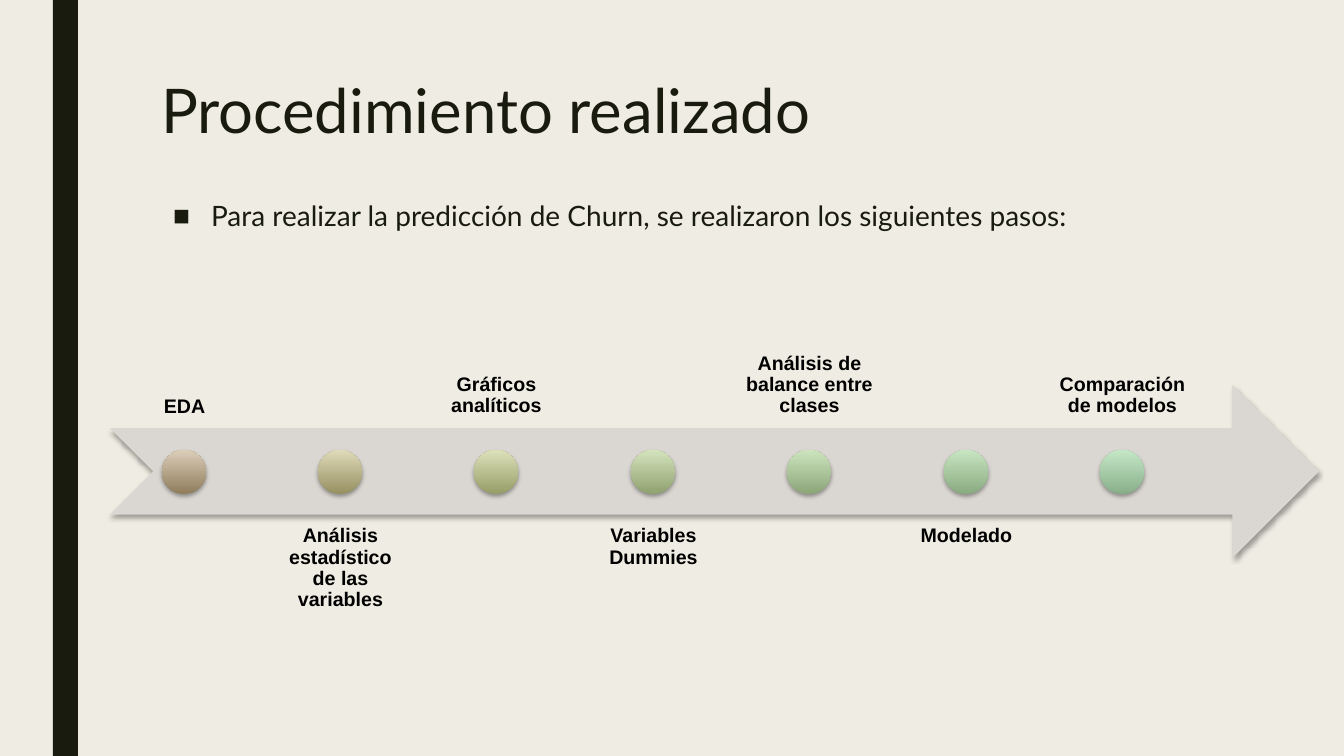
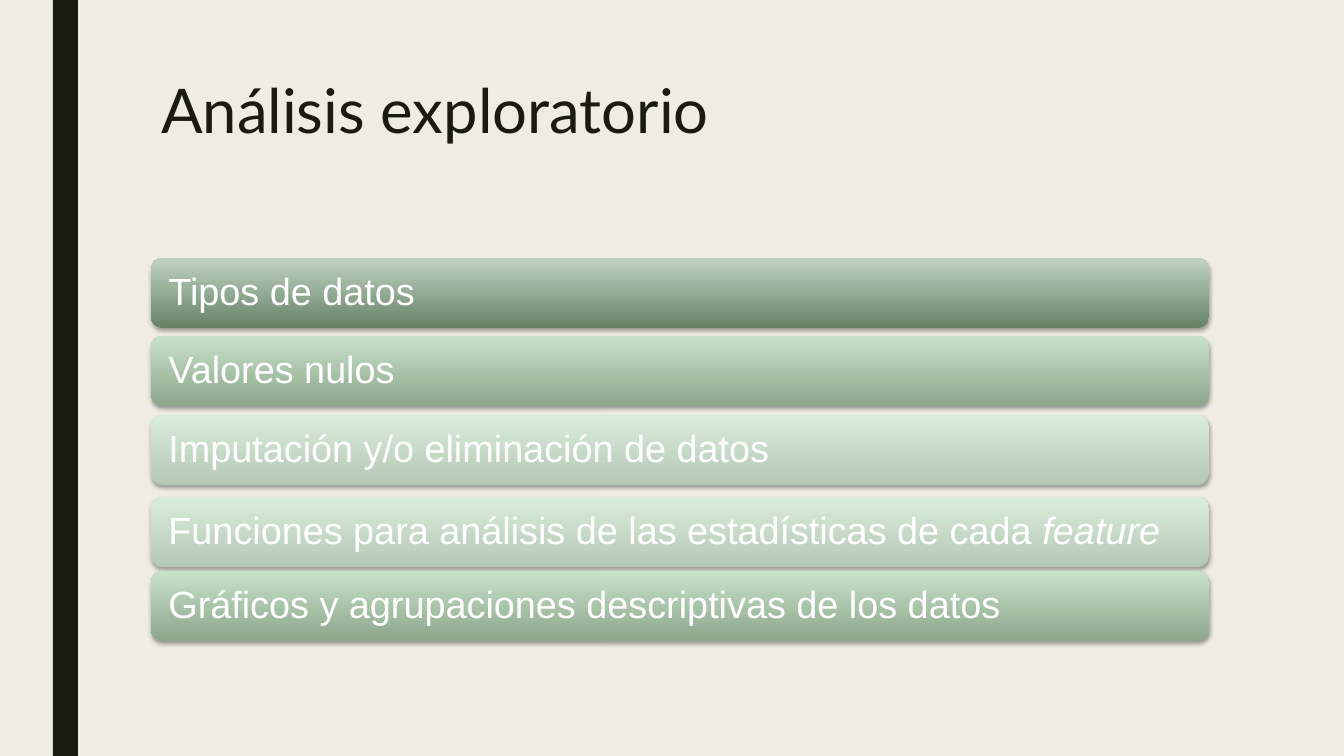
from pptx import Presentation
from pptx.dml.color import RGBColor
from pptx.enum.shapes import MSO_SHAPE as Preset
from pptx.enum.text import MSO_ANCHOR as Anchor, MSO_AUTO_SIZE as AutoSize, PP_ALIGN as Align
from pptx.oxml import parse_xml
from pptx.oxml.ns import nsdecls
from pptx.util import Emu, Pt

PX = 914400 / 100.8
INK = RGBColor(0x19, 0x1B, 0x0E)
PAPER = RGBColor(0xEF, 0xED, 0xE3)
ARROW = RGBColor(0xDA, 0xD7, 0xD2)
BLACK = RGBColor(0x00, 0x00, 0x00)
WHITE = RGBColor(0xFF, 0xFF, 0xFF)
DARK_GREEN = (RGBColor(0x65, 0x82, 0x66), RGBColor(0xC0, 0xD3, 0xC1))
MID_GREEN = (RGBColor(0x8C, 0xA7, 0x8C), RGBColor(0xC8, 0xE1, 0xC9))
PALE_GREEN = (RGBColor(0xB6, 0xC9, 0xB7), RGBColor(0xD8, 0xEC, 0xD9))
STEPS = [
    ("EDA", RGBColor(0x8F, 0x7D, 0x5B), RGBColor(0xDB, 0xCE, 0xB9)),
    ("Análisis estadístico de las variables", RGBColor(0x96, 0x90, 0x61), RGBColor(0xDF, 0xDA, 0xB9)),
    ("Gráficos analíticos", RGBColor(0x97, 0x9D, 0x67), RGBColor(0xDC, 0xE1, 0xBA)),
    ("Variables Dummies", RGBColor(0x90, 0xA1, 0x70), RGBColor(0xD4, 0xE3, 0xBC)),
    ("Análisis de balance entre clases", RGBColor(0x8C, 0xA6, 0x78), RGBColor(0xCD, 0xE4, 0xBE)),
    ("Modelado", RGBColor(0x89, 0xAB, 0x80), RGBColor(0xC8, 0xE5, 0xC1)),
    ("Comparación de modelos", RGBColor(0x89, 0xAF, 0x8A), RGBColor(0xC4, 0xE7, 0xC5)),
]
TOPICS = [
    (258, DARK_GREEN, "Tipos de datos", ""),
    (336, MID_GREEN, "Valores nulos", ""),
    (415, PALE_GREEN, "Imputación y/o eliminación de datos", ""),
    (497, PALE_GREEN, "Funciones para análisis de las estadísticas de cada ", "feature"),
    (571, MID_GREEN, "Gráficos y agrupaciones descriptivas de los datos", ""),
]


def add_raised_shape(slide, preset, box, *colors):
    shape = slide.shapes.add_shape(preset, *[Emu(round(n * PX)) for n in box])
    if len(colors) == 1:
        shape.fill.solid()
        shape.fill.fore_color.rgb = colors[0]
    else:
        shape.fill.gradient()
        shape.fill.gradient_angle = 90
        for stop, color in zip(shape.fill.gradient_stops, colors):
            stop.color.rgb = color
    shape.line.fill.background()
    shape.shadow.inherit = False
    shape.element.spPr.find("{*}effectLst").append(parse_xml(
        f'<a:outerShdw {nsdecls("a")} blurRad="39370" dist="22860" dir="5400000" rotWithShape="0">'
        '<a:srgbClr val="000000"><a:alpha val="35000"/></a:srgbClr></a:outerShdw>'))
    return shape


def style_paragraph(paragraph, font_name, size, color, spacing, align=Align.LEFT):
    paragraph.font.name = font_name
    paragraph.font.size = Pt(size)
    paragraph.font.color.rgb = color
    paragraph.line_spacing = spacing
    paragraph.alignment = align


presentation = Presentation()
presentation.slide_width = Emu(round(1344 * PX))
presentation.slide_height = Emu(round(756 * PX))

master = presentation.slide_master
master.background.fill.solid()
master.background.fill.fore_color.rgb = PAPER
master_title = master.placeholders[0]
master_title.left, master_title.top, master_title.width, master_title.height = [
    Emu(round(n * PX)) for n in (151, 76, 1058, 163)]
master_title.text_frame.vertical_anchor = Anchor.TOP
master_title.text_frame.auto_size = AutoSize.NONE

slides = []
for title, layout in (("Procedimiento realizado", 1), ("Análisis exploratorio", 5)):
    slide = presentation.slides.add_slide(presentation.slide_layouts[layout])
    slide.shapes.title.text = title
    style_paragraph(slide.shapes.title.text_frame.paragraphs[0], "Lato", 44, INK, 0.89)
    slides.append(slide)
process_slide, analysis_slide = slides

band = process_slide.shapes.add_shape(
    Preset.RECTANGLE, *[Emu(round(n * PX)) for n in (53, 0, 25, 756)])
band.fill.solid()
band.fill.fore_color.rgb = INK
band.line.fill.background()
band.shadow.inherit = False
master.shapes.element.insert(2, band.element)

body = process_slide.placeholders[1]
body.left, body.top, body.width, body.height = [
    Emu(round(n * PX)) for n in (151, 196, 1167, 59)]
body.text_frame.text = "Para realizar la predicción de Churn, se realizaron los siguientes pasos:"
body.text_frame.auto_size = AutoSize.NONE
intro = body.text_frame.paragraphs[0]
style_paragraph(intro, "Lato", 20, INK, 0.94)
intro.space_before = Pt(10)
properties = intro.font._element.getparent()
properties.set("marL", str(round(50 * PX)))
properties.set("indent", str(round(-38 * PX)))
for tag in ('buFont {} typeface="Arial"', 'buChar {} char="■"'):
    bullet = parse_xml(f'<a:{tag.format(nsdecls("a"))}/>')
    properties.find("{*}defRPr").addprevious(bullet)

add_raised_shape(process_slide, Preset.NOTCHED_RIGHT_ARROW, (110, 385, 1209, 173), ARROW)
for index, (label, dark, light) in enumerate(STEPS):
    left = 110 + index * 782 // 5
    above = index % 2 == 0
    add_raised_shape(process_slide, Preset.OVAL, (left + 52, 450, 44, 44), dark, light)
    box = (left, 255 if above else 515, 149, 173)
    frame = process_slide.shapes.add_textbox(*[Emu(round(n * PX)) for n in box]).text_frame
    frame.word_wrap = True
    frame.vertical_anchor = Anchor.BOTTOM if above else Anchor.TOP
    frame.margin_left = frame.margin_right = Emu(round(11 * PX))
    frame.margin_top = frame.margin_bottom = Emu(round(11 * PX))
    frame.text = label
    style_paragraph(frame.paragraphs[0], "Arial", 14, BLACK, 0.9, Align.CENTER)
    frame.paragraphs[0].font.bold = True

for top, colors, text, italic_text in TOPICS:
    bar = add_raised_shape(analysis_slide, Preset.ROUNDED_RECTANGLE, (151, top, 1058, 70), *colors)
    frame = bar.text_frame
    frame.margin_left = frame.margin_right = Emu(round(14 * PX))
    frame.vertical_anchor = Anchor.MIDDLE
    frame.text = text
    style_paragraph(frame.paragraphs[0], "Arial", 27, WHITE, 0.9)
    if italic_text:
        run = frame.paragraphs[0].add_run()
        run.text = italic_text
        run.font.italic = True

presentation.save("out.pptx")
